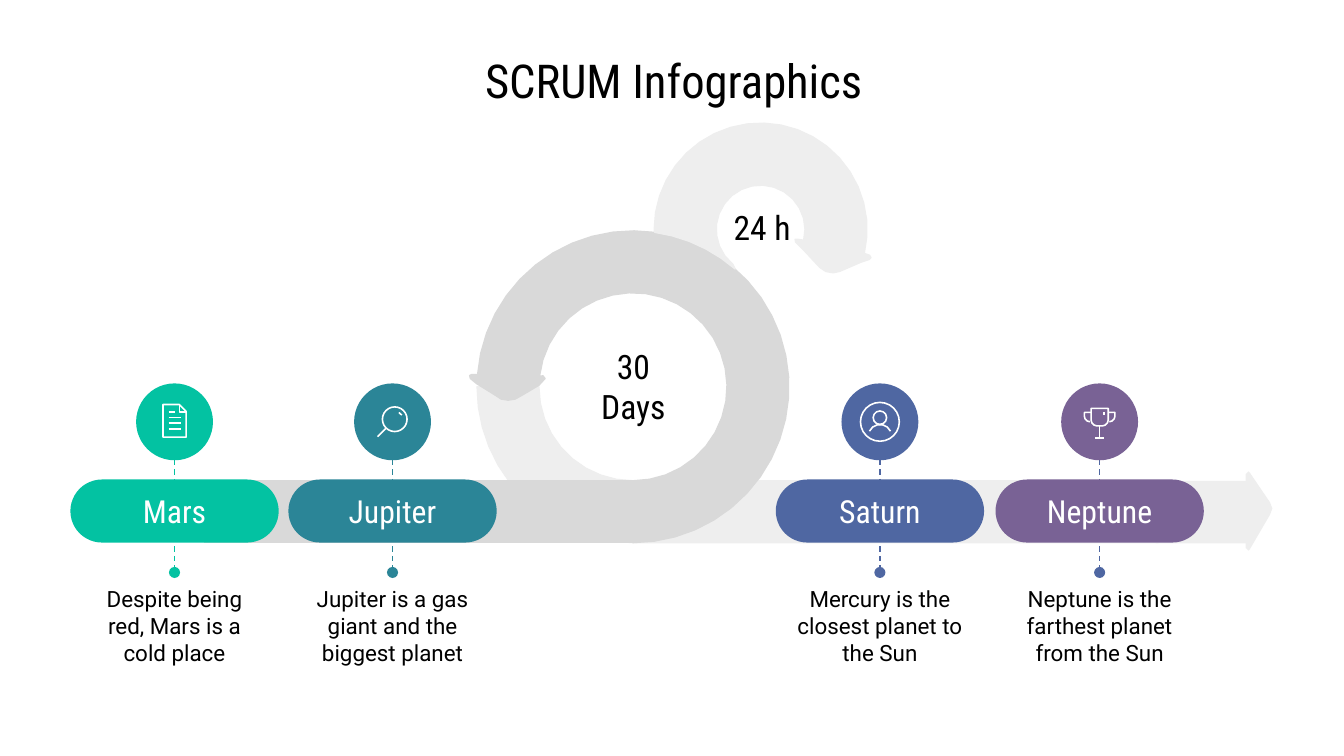
import math
from dataclasses import dataclass

import lxml.etree
import pptx
import pptx.dml.color
import pptx.enum.dml
import pptx.enum.shapes
import pptx.enum.text
import pptx.oxml.ns
import pptx.util

Pt = pptx.util.Pt
SHAPES = pptx.enum.shapes.MSO_SHAPE
PALE, GREY, WHITE, BLACK = "EEEEEE", "D9D9D9", "FFFFFF", "000000"
ICON_Y = 226
Point = tuple[float, float]


@dataclass
class Stroke:
    points: list[Point]
    closed: bool = False


@dataclass
class Ring:
    x: float
    y: float
    r: float
    fill: str | None = None


@dataclass
class Step:
    name: str
    text: str
    x: float
    color: str
    line_color: str
    icon: list[Stroke | Ring]


def rgb(color: str) -> pptx.dml.color.RGBColor:
    return pptx.dml.color.RGBColor.from_string(color)


def arc(cx: float, cy: float, r: float, start: float, end: float) -> list[Point]:
    """Points along an arc, as few as look round; degrees run clockwise from the right."""
    step = 2 * math.degrees(math.acos(1 - 0.2 / r))
    n = math.ceil(abs(end - start) / step)
    angles = [math.radians(start + (end - start) * i / n) for i in range(n + 1)]
    return [(cx + r * math.cos(a), cy + r * math.sin(a)) for a in angles]


def paint(sp, fill: str | None = None, line: str | None = None, width: float = 0.75) -> None:
    sp.shadow.inherit = False
    if fill:
        sp.fill.solid()
        sp.fill.fore_color.rgb = rgb(fill)
    else:
        sp.fill.background()
    if line:
        sp.line.color.rgb = rgb(line)
        sp.line.width = Pt(width)
    else:
        sp.line.fill.background()


def outline(s, points: list[Point], closed: bool = True, **fmt) -> None:
    pts = [(x * 100, y * 100) for x, y in points]
    fb = s.shapes.build_freeform(*pts[0], scale=Pt(1) / 100)
    fb.add_line_segments(pts[1:], close=closed)
    paint(fb.convert_to_shape(), **fmt)


def shape(s, kind, x: float, y: float, w: float, h: float, **fmt):
    sp = s.shapes.add_shape(kind, Pt(x), Pt(y), Pt(w), Pt(h))
    paint(sp, **fmt)
    return sp


def disc(s, cx: float, cy: float, r: float, **fmt) -> None:
    shape(s, SHAPES.OVAL, cx - r, cy - r, 2 * r, 2 * r, **fmt)


def dashed_line(s, x: float, top: float, bottom: float, color: str) -> None:
    cn = s.shapes.add_connector(pptx.enum.shapes.MSO_CONNECTOR.STRAIGHT,
                                Pt(x), Pt(top), Pt(x), Pt(bottom))
    cn.line.color.rgb = rgb(color)
    cn.line.width = Pt(0.75)
    cn.line.dash_style = pptx.enum.dml.MSO_LINE.DASH
    tail = lxml.etree.SubElement(cn.line._get_or_add_ln(), pptx.oxml.ns.qn("a:tailEnd"))
    tail.set("type", "oval")
    lxml.etree.SubElement(cn._element.spPr, pptx.oxml.ns.qn("a:effectLst"))


def write(sp, text: str, size: float, font: str = "Roboto Condensed", color: str = BLACK) -> None:
    tf = sp.text_frame
    tf.word_wrap = True
    tf.vertical_anchor = pptx.enum.text.MSO_ANCHOR.MIDDLE
    tf.margin_left = tf.margin_right = tf.margin_top = tf.margin_bottom = Pt(7.2)
    p = tf.paragraphs[0]
    p.alignment = pptx.enum.text.PP_ALIGN.CENTER
    r = p.add_run()
    r.text = text
    r.font.size = Pt(size)
    r.font.name = font
    r.font.color.rgb = rgb(color)


def label(s, text: str, x: float, y: float, w: float, h: float, **fmt) -> None:
    write(s.shapes.add_textbox(Pt(x), Pt(y), Pt(w), Pt(h)), text, **fmt)


def draw_cycles(s) -> None:
    cx, cy, outer, inner = 339.1, 207.2, 83.5, 50.4
    top, bottom = cy + inner, cy + outer
    # Outgoing arrow
    outline(s, [(667.4, 254), (668.9, 252.5), (669.6, 253.2), (680.4, 269.1), (681.7, 272.4),
                (680.4, 275.8), (669.6, 294.3), (668.9, 295), (667.4, 293.6)], fill=PALE)
    outline(s, arc(cx, cy, outer, 180, 90) + [(620.6, bottom), (620.6, top)]
            + arc(cx, cy, inner, 90, 180), fill=PALE, line=PALE)
    # Incoming band and 30 day loop
    outline(s, [(109.4, top), (109.4, bottom), (cx, bottom), (cx, top)], fill=GREY, line=GREY)
    head = [(290.9, 201.4), (292, 202.8), (288.7, 206.4), (280.1, 211.5), (276, 213.8),
            (272.2, 214.4), (268.5, 213.8), (265, 211.5), (255.6, 205.7), (252, 202.8),
            (251.6, 201.2), (252.7, 200.7)]
    outline(s, arc(cx, cy, outer, 184.5, 450) + arc(cx, cy, inner, 450, 186.5) + head,
            fill=GREY, line=GREY)
    shape(s, SHAPES.RECTANGLE, 619.2, top, 51.1, 33.5, fill=PALE)
    # 24 hour loop, resting on the large one
    head = [(465.8, 136.8), (466.6, 138), (465.8, 139), (461.5, 140.4), (450, 145.4),
            (446.4, 146.2), (442.5, 145.5), (439.2, 143.3), (429.8, 133.2), (426.2, 129.6),
            (426, 128.3), (427, 128.2)]
    outline(s, arc(407.5, 123, 57, 180, 373) + head + arc(407.5, 123, 23.8, 374, 129)
            + arc(cx, cy, outer, -49, -82), fill=PALE, line=PALE)
    label(s, "30 Days", 309.4, 185.6, 59.8, 42.5, size=18)
    label(s, "24 h", 378.4, 100.5, 59.8, 42.5, size=18)


def draw_step(s, step: Step) -> None:
    x = step.x
    dashed_line(s, x, 246.2, 306.7, step.line_color)
    disc(s, x, ICON_Y, 20.6, fill=step.color)
    for part in step.icon:
        if isinstance(part, Ring):
            disc(s, x + part.x, ICON_Y + part.y, part.r, fill=part.fill, line=WHITE, width=0.84)
        else:
            outline(s, [(x + dx, ICON_Y + dy) for dx, dy in part.points], part.closed,
                    line=WHITE, width=0.84)
    pill = shape(s, SHAPES.ROUNDED_RECTANGLE, x - 55.8, 256.9, 111.6, 33.8, fill=step.color)
    pill.adjustments[0] = 0.5
    write(pill, step.name, 17, color=WHITE)
    label(s, step.text, x - 53.3, 303.6, 106.6, 63.3, size=12, font="Roboto")


# Icons, as strokes around the centre of their disc
DOCUMENT = [Stroke([(-6.2, -9.3), (2.6, -9.3), (6.2, -5.6), (6.2, 8.2), (-6.2, 8.2)], True),
            Stroke([(2.6, -9.3), (2.6, -5.2), (6.2, -5.2)]),
            Stroke([(-3.2, -5.2), (0, -5.2)])]
DOCUMENT += [Stroke([(-3.2, y), (3.6, y)]) for y in (-2.2, 0.8, 3.8)]
MAGNIFIER = [Ring(1.2, -1.4, 6.6, "2B8597"),
             Stroke([(3.4, -5), (5, -3.6)]), Stroke([(-8, 7.9), (-3.4, 3.4)])]
PERSON = [Ring(0, -2.2, 3.6), Stroke(arc(0, 7.6, 6.2, 205, 335)), Ring(0, 0, 10.4)]
TROPHY = [Stroke([(-4.6, -7.2), (4.6, -7.2)] + arc(1.4, -1, 3.2, 0, 90)
                 + arc(-1.4, -1, 3.2, 90, 180), True),
          Stroke([(-2.6, 8.6), (2.6, 8.6)]), Stroke([(0, 2.2), (0, 8.6)]),
          Stroke([(2.2, -5), (2.2, -3.6)])]
TROPHY += [Stroke([(side * x, y) for x, y in [(4.6, -5), (8.2, -5)] + arc(5.2, -3, 3, 0, 90)])
           for side in (-1, 1)]

STEPS = [
    Step("Jupiter", "Jupiter is a gas giant and the biggest planet", 210.3,
         "2B8597", "2B8597", MAGNIFIER),
    Step("Neptune", "Neptune is the farthest planet from the Sun", 589.1,
         "796295", "4F67A2", TROPHY),
    Step("Mars", "Despite being red, Mars is a cold place", 93.5, "03C2A2", "03C2A2", DOCUMENT),
    Step("Saturn", "Mercury is the closest planet to the Sun", 471.4, "4F67A2", "4F67A2", PERSON),
]


def main() -> None:
    prs = pptx.Presentation()
    prs.slide_width, prs.slide_height = Pt(720), Pt(405)
    s = prs.slides.add_slide(prs.slide_layouts[6])
    draw_cycles(s)
    label(s, "SCRUM Infographics", 38, 23.8, 645.8, 38.2, size=25)
    for step in STEPS:
        draw_step(s, step)
    prs.save("out.pptx")


if __name__ == "__main__":
    main()
